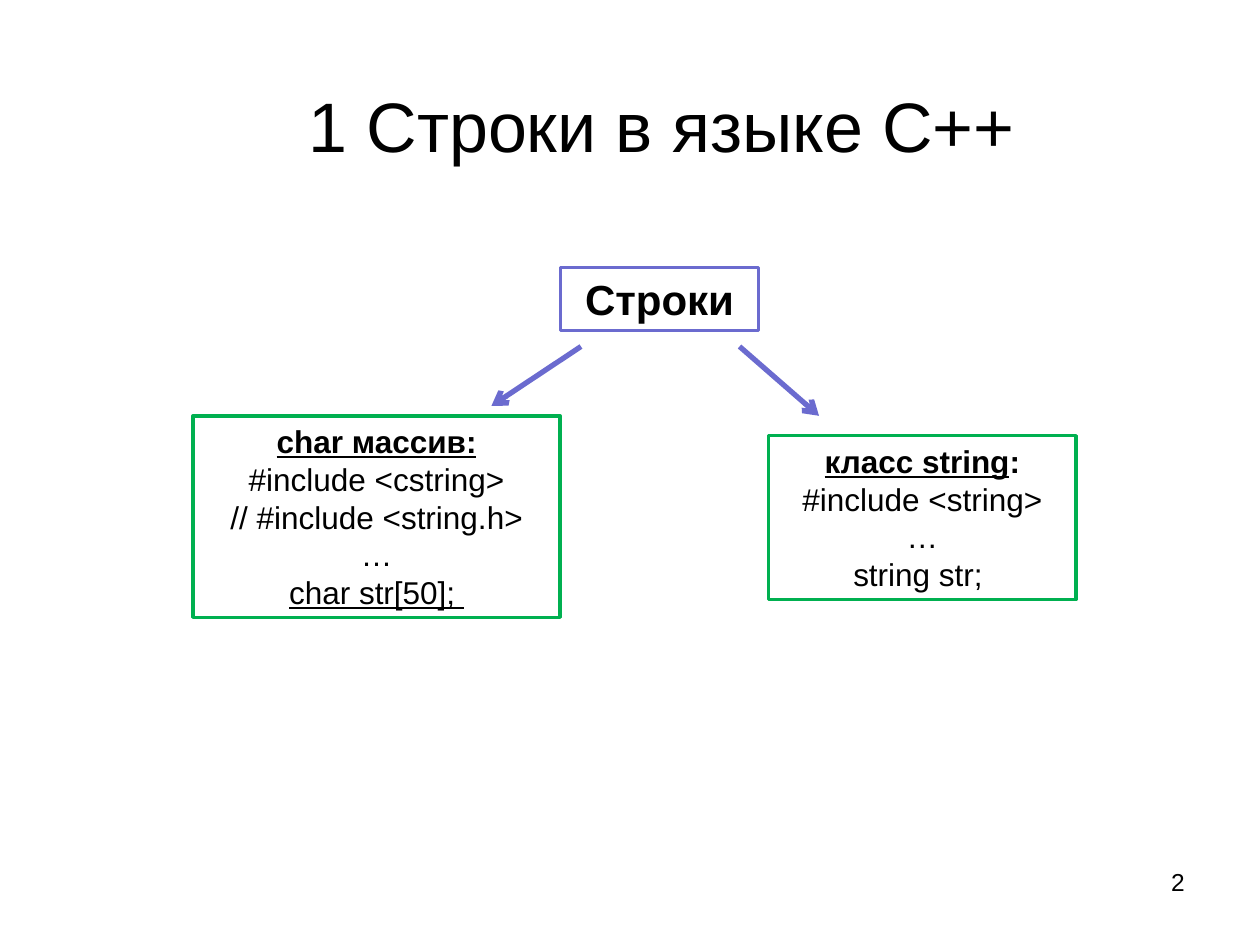
from dataclasses import dataclass

from lxml.etree import SubElement
from pptx import Presentation
from pptx.dml.color import RGBColor as Rgb
from pptx.enum.shapes import MSO_CONNECTOR as Connector, MSO_SHAPE as Shape
from pptx.enum.text import MSO_ANCHOR as Anchor, MSO_AUTO_SIZE as AutoSize, PP_ALIGN as Align
from pptx.oxml.ns import qn
from pptx.util import Pt


@dataclass(frozen=True)
class Theme:
    font: str = "Arial"
    ink: Rgb = Rgb(0, 0, 0)
    paper: Rgb = Rgb(255, 255, 255)
    violet: Rgb = Rgb(0x6B, 0x6B, 0xCF)
    green: Rgb = Rgb(0x00, 0xB0, 0x50)
    title_size: int = 40
    root_size: int = 24
    body_size: int = 18
    number_size: int = 14
    border: int = 2
    arrow: int = 3


def add_span(para, text, theme, size, bold=False, underline=False):
    span = para.add_run()
    span.text = text
    font = span.font
    font.name, font.size, font.color.rgb = theme.font, Pt(size), theme.ink
    font.bold, font.underline = bold, underline


class SlideBuilder:
    def __init__(self, page, theme):
        self.page, self.theme = page, theme

    def fill_text(self, frame, lines, size, align=Align.CENTER, anchor=Anchor.MIDDLE):
        """Each line is a list of (text, format) pairs."""
        frame.word_wrap = True
        frame.vertical_anchor = anchor
        for index, spans in enumerate(lines):
            para = frame.add_paragraph() if index else frame.paragraphs[0]
            para.alignment = align
            for text, style in spans:
                add_span(para, text, self.theme, size, **style)

    def title(self, text, left, top, width, height):
        title = self.page.shapes.title
        title.left, title.top, title.width, title.height = map(Pt, (left, top, width, height))
        title.text_frame.auto_size = AutoSize.NONE
        self.fill_text(title.text_frame, [[(text, {})]], self.theme.title_size)

    def box(self, lines, left, top, width, height, color, size):
        box = self.page.shapes.add_shape(Shape.RECTANGLE, *map(Pt, (left, top, width, height)))
        box.shadow.inherit = False
        box.fill.solid()
        box.fill.fore_color.rgb = self.theme.paper
        box.line.color.rgb, box.line.width = color, Pt(self.theme.border)
        box.text_frame.auto_size = AutoSize.SHAPE_TO_FIT_TEXT
        self.fill_text(box.text_frame, lines, size, anchor=Anchor.TOP)

    def arrow(self, *ends):
        arrow = self.page.shapes.add_connector(Connector.STRAIGHT, *map(Pt, ends))
        arrow.line.color.rgb, arrow.line.width = self.theme.violet, Pt(self.theme.arrow)
        properties = arrow._element.spPr
        SubElement(properties.find(qn("a:ln")), qn("a:tailEnd"), type="arrow")
        SubElement(properties, qn("a:effectLst"))

    def page_number(self, text, left, top, width, height):
        box = self.page.shapes.add_textbox(*map(Pt, (left, top, width, height)))
        self.fill_text(box.text_frame, [[(text, {})]], self.theme.number_size,
                       align=Align.RIGHT, anchor=Anchor.TOP)


def main():
    deck = Presentation()
    deck.slide_width, deck.slide_height = Pt(720), Pt(540)
    theme = Theme()
    builder = SlideBuilder(deck.slides.add_slide(deck.slide_layouts[5]), theme)
    bold, underlined = {"bold": True}, {"underline": True}
    heading = bold | underlined

    # Title
    builder.title("1 Строки в языке С++", 54, 26, 648, 90)

    # Root of the diagram
    builder.box([[("Строки", bold)]], 320.4, 152.8, 113, 36, theme.violet, theme.root_size)

    # The two kinds of strings
    char_lines = [
        [("char массив:", heading)],
        [("#include <cstring>", {})],
        [("// #include <string.h>", {})],
        [("…", {})],
        [("char str[50]; ", underlined)],
    ]
    string_lines = [
        [("класс string", heading), (":", bold)],
        [("#include <string>", {})],
        [("…", {})],
        [("string str; ", {})],
    ]
    builder.box(char_lines, 110.4, 237.6, 209.6, 115.2, theme.green, theme.body_size)
    builder.box(string_lines, 439.2, 249, 175.8, 93.6, theme.green, theme.body_size)

    # Arrows from the root
    builder.arrow(332, 198, 280.8, 232)
    builder.arrow(422.6, 198, 468, 237.6)

    # Page number
    builder.page_number("2", 516, 492, 168, 37.4)

    deck.save("out.pptx")


if __name__ == "__main__":
    main()
